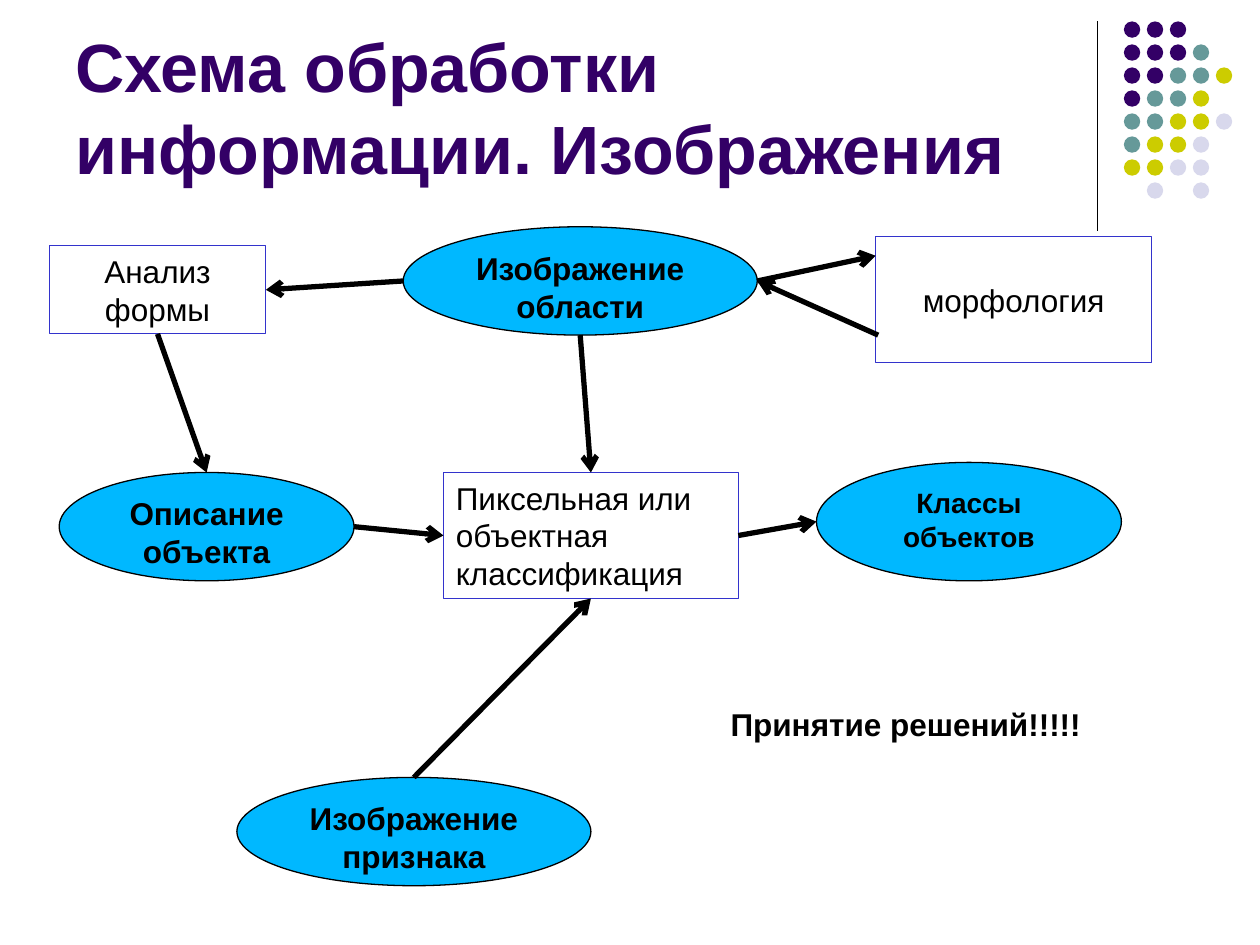
from dataclasses import dataclass
from typing import Optional

import pptx
import pptx.dml.color
import pptx.enum.shapes
import pptx.enum.text
import pptx.oxml.ns
import pptx.util
from lxml import etree

Inches = pptx.util.Inches
Pt = pptx.util.Pt
RGBColor = pptx.dml.color.RGBColor
Shape = pptx.enum.shapes.MSO_SHAPE
Align = pptx.enum.text.PP_ALIGN
Anchor = pptx.enum.text.MSO_ANCHOR
qn = pptx.oxml.ns.qn

BLACK = RGBColor(0x00, 0x00, 0x00)
PURPLE = RGBColor(0x33, 0x00, 0x66)
TEAL = RGBColor(0x66, 0x99, 0x99)
OLIVE = RGBColor(0xCC, 0xCC, 0x00)
LAVENDER = RGBColor(0xD8, 0xD8, 0xEC)
SKY = RGBColor(0x00, 0xB8, 0xFF)
BLUE = RGBColor(0x33, 0x33, 0xCC)

DOT_COLORS = {"p": PURPLE, "t": TEAL, "o": OLIVE, "l": LAVENDER}
DOT_ROWS = ("ppp", "pppt", "pptto", "ptto", "ttool", "tool", "ooll", " l l")
DOT_LEFT, DOT_TOP, DOT_SIZE = 8.92, 0.17, 0.13
DOT_PITCH = 0.73 / 4
TOP, LEFT, BOTTOM, RIGHT = range(4)


@dataclass(frozen=True)
class Node:
    text: str
    left: float
    top: float
    width: float
    height: float
    oval: bool = False
    size: int = 18
    align: Align = Align.CENTER
    anchor: Anchor = Anchor.TOP

    def side(self, index: int) -> tuple[float, float]:
        """Middle of a side, numbered as connection sites are."""
        across, down = ((0.5, 0), (0, 0.5), (0.5, 1), (1, 0.5))[index]
        return self.left + across * self.width, self.top + down * self.height


@dataclass(frozen=True)
class Arrow:
    """Each end is a side of a node, or a free point when the side is None."""
    start: str
    start_side: Optional[int]
    end: str
    end_side: Optional[int]
    free_point: tuple[float, float] = (0, 0)


NODES = {
    "morphology": Node("морфология", 6.95, 1.88, 2.19, 1, anchor=Anchor.MIDDLE),
    "description": Node("Описание объекта", 0.47, 3.75, 2.34, 0.86, oval=True),
    "form": Node("Анализ формы", 0.39, 1.95, 1.72, 0.7),
    "classes": Node("Классы объектов", 6.48, 3.67, 2.42, 0.94, oval=True, size=16),
    "classification": Node("Пиксельная или объектная классификация",
                           3.52, 3.75, 2.34, 1, align=Align.LEFT),
    "region": Node("Изображение области", 3.2, 1.8, 2.81, 0.86, oval=True),
    "feature": Node("Изображение признака", 1.88, 6.17, 2.81, 0.86, oval=True),
}

ARROWS = (
    Arrow("feature", TOP, "classification", BOTTOM),
    Arrow("classification", RIGHT, "classes", LEFT),
    Arrow("region", BOTTOM, "classification", TOP),
    Arrow("form", BOTTOM, "description", TOP),
    Arrow("description", RIGHT, "classification", LEFT),
    Arrow("morphology", None, "region", RIGHT, (6.97, 2.66)),
    Arrow("region", RIGHT, "morphology", None, (6.95, 2.03)),
    Arrow("region", LEFT, "form", RIGHT),
)


def write(shape, text: str, size: float, color: RGBColor, bold: bool,
          align: Align = Align.LEFT, anchor: Anchor = Anchor.TOP) -> None:
    frame = shape.text_frame
    frame.word_wrap = True
    frame.vertical_anchor = anchor
    para = frame.paragraphs[0]
    para.alignment = align
    span = para.add_run()
    span.text = text
    span.font.name = "Arial"
    span.font.size = Pt(size)
    span.font.bold = bold
    span.font.color.rgb = color


def add_text(page, text: str, left: float, top: float, width: float, height: float,
             size: float, color: RGBColor, anchor: Anchor = Anchor.TOP) -> None:
    box = page.shapes.add_textbox(Inches(left), Inches(top), Inches(width), Inches(height))
    write(box, text, size, color, True, anchor=anchor)


def add_line(page, start: tuple[float, float], end: tuple[float, float], weight: float):
    line = page.shapes.add_connector(
        pptx.enum.shapes.MSO_CONNECTOR.STRAIGHT, *map(Inches, start + end))
    line.line.color.rgb = BLACK
    line.line.width = Pt(weight)
    etree.SubElement(line._element.spPr, qn("a:effectLst"))
    return line


def add_dots(page) -> None:
    group = page.shapes.add_group_shape()
    for row, codes in enumerate(DOT_ROWS):
        for column, code in enumerate(codes):
            if code not in DOT_COLORS:
                continue
            dot = group.shapes.add_shape(
                Shape.OVAL,
                Inches(DOT_LEFT + column * DOT_PITCH), Inches(DOT_TOP + row * DOT_PITCH),
                Inches(DOT_SIZE), Inches(DOT_SIZE))
            dot.shadow.inherit = False
            dot.fill.solid()
            dot.fill.fore_color.rgb = DOT_COLORS[code]
            dot.line.fill.background()


def add_node(page, node: Node):
    shape = page.shapes.add_shape(
        Shape.OVAL if node.oval else Shape.RECTANGLE,
        Inches(node.left), Inches(node.top), Inches(node.width), Inches(node.height))
    shape.shadow.inherit = False
    if node.oval:
        shape.fill.solid()
        shape.fill.fore_color.rgb = SKY
    else:
        shape.fill.background()
    shape.line.color.rgb = BLACK if node.oval else BLUE
    shape.line.width = Pt(0.75)
    write(shape, node.text, node.size, BLACK, node.oval, node.align, node.anchor)
    return shape


def add_arrow(page, arrow: Arrow, shapes: dict) -> None:
    """Draw an arrow, joining it to the rectangles whose sides it meets."""
    start, end = (
        arrow.free_point if side is None else NODES[name].side(side)
        for name, side in ((arrow.start, arrow.start_side), (arrow.end, arrow.end_side)))
    line = add_line(page, start, end, 3)
    etree.SubElement(line.line._get_or_add_ln(), qn("a:tailEnd"), type="arrow")
    if arrow.start_side is not None and not NODES[arrow.start].oval:
        line.begin_connect(shapes[arrow.start], arrow.start_side)
    if arrow.end_side is not None and not NODES[arrow.end].oval:
        line.end_connect(shapes[arrow.end], arrow.end_side)


def main() -> None:
    deck = pptx.Presentation()
    deck.slide_width, deck.slide_height = Inches(10), Inches(7.5)
    page = deck.slides.add_slide(deck.slide_layouts[6])

    add_line(page, (8.71, 0.17), (8.71, 1.83), 0.75)
    add_dots(page)
    add_text(page, "Схема обработки информации. Изображения",
             0.5, 0.13, 8.25, 1.41, 39, PURPLE, Anchor.BOTTOM)
    shapes = {name: add_node(page, node) for name, node in NODES.items()}
    for arrow in ARROWS:
        add_arrow(page, arrow, shapes)
    add_text(page, "Принятие решений!!!!!", 5.7, 5.55, 3.36, 0.4, 18, BLACK)

    deck.save("out.pptx")


if __name__ == "__main__":
    main()
